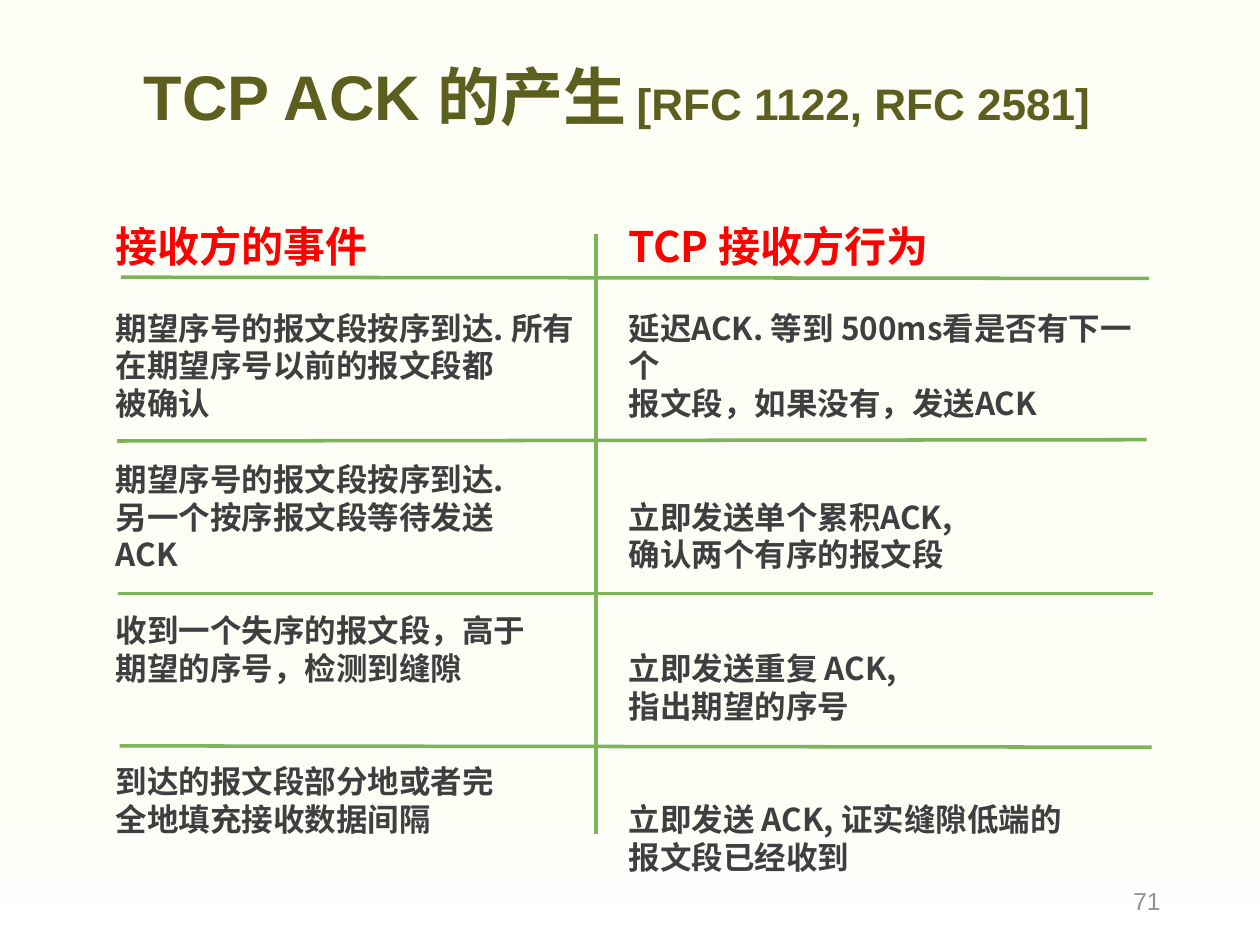
from dataclasses import dataclass

from lxml.etree import SubElement
from pptx import Presentation
from pptx.dml.color import RGBColor
from pptx.enum.shapes import MSO_CONNECTOR
from pptx.enum.text import MSO_ANCHOR, MSO_AUTO_SIZE, PP_ALIGN
from pptx.oxml.ns import qn
from pptx.slide import Slide
from pptx.text.text import _Run
from pptx.util import Inches, Pt

LATIN_FONT = "Arial"
CHINESE_FONT = "Noto Sans CJK SC"
OLIVE, RED, DARK, GRAY, GREEN = "5D5F1F", "FF0000", "3D3F41", "919293", "7DB359"
HEADING_SIZE, BODY_SIZE = 24, 18
LINE_FACTOR = 1.2


@dataclass
class Block:
    """Lines of one table row, set below a gap counted in body lines."""
    gap: int
    lines: list[str]


@dataclass
class Column:
    left: float
    width: float
    heading: str
    blocks: list[Block]


@dataclass
class Rule:
    x1: float
    y1: float
    x2: float
    y2: float


COLUMNS = [
    Column(0.82, 3.97, "接收方的事件", [
        Block(1, ["期望序号的报文段按序到达. 所有", "在期望序号以前的报文段都", "被确认"]),
        Block(1, ["期望序号的报文段按序到达.", "另一个按序报文段等待发送", "ACK"]),
        Block(1, ["收到一个失序的报文段，高于", "期望的序号，检测到缝隙"]),
        Block(2, ["到达的报文段部分地或者完", "全地填充接收数据间隔"]),
    ]),
    Column(4.89, 4.36, "TCP 接收方行为", [
        Block(1, ["延迟ACK. 等到 500ms看是否有下一个", "报文段，如果没有，发送ACK"]),
        Block(2, ["立即发送单个累积ACK,", "确认两个有序的报文段"]),
        Block(2, ["立即发送重复 ACK,", "指出期望的序号"]),
        Block(2, ["立即发送 ACK, 证实缝隙低端的", "报文段已经收到"]),
    ]),
]

RULES = [
    Rule(0.96, 2.2, 9.12, 2.21),
    Rule(0.93, 3.5, 9.1, 3.49),
    Rule(0.94, 4.71, 9.15, 4.71),
    Rule(0.95, 5.92, 9.14, 5.93),
    Rule(4.73, 1.86, 4.73, 6.62),
]


def color(value: str) -> RGBColor:
    return RGBColor.from_string(value)


def format_run(run: _Run, size: float, fill: str, font: str, bold: bool = True) -> None:
    run.font.size = Pt(size)
    run.font.bold = bold
    run.font.name = font
    run.font.color.rgb = color(fill)
    SubElement(run.font._element, qn("a:ea")).set("typeface", CHINESE_FONT)


def paint_background(slide: Slide) -> None:
    fill = slide.background.fill
    fill.gradient()
    fill.gradient_angle = 270
    for stop, (position, value) in zip(fill.gradient_stops, [(0.84, "FDFFF7"), (1, "FFFFFF")]):
        stop.position = position
        stop.color.rgb = color(value)


def add_title(slide: Slide) -> None:
    title = slide.shapes.title
    title.left, title.top = Inches(1.04), Inches(0.31)
    title.width, title.height = Inches(8.07), Inches(0.97)
    text_frame = title.text_frame
    text_frame.text = "TCP ACK 的产生"
    text_frame.auto_size = MSO_AUTO_SIZE.NONE
    text_frame.vertical_anchor = MSO_ANCHOR.MIDDLE
    paragraph = text_frame.paragraphs[0]
    paragraph.alignment = PP_ALIGN.LEFT
    paragraph.line_spacing = 0.9
    paragraph.add_run().text = " [RFC 1122, RFC 2581]"
    for run, size in zip(paragraph.runs, (36, 25.2)):
        format_run(run, size, OLIVE, LATIN_FONT)


def add_column(slide: Slide, column: Column) -> None:
    box = slide.shapes.add_textbox(
        Inches(column.left), Inches(1.7), Inches(column.width), Inches(5.6))
    text_frame = box.text_frame
    text_frame.word_wrap = True
    text_frame.text = column.heading
    heading = text_frame.paragraphs[0]
    heading.line_spacing = Pt(HEADING_SIZE * LINE_FACTOR)
    format_run(heading.runs[0], HEADING_SIZE, RED, CHINESE_FONT)

    line_height = BODY_SIZE * LINE_FACTOR
    for block in column.blocks:
        for index, line in enumerate(block.lines):
            paragraph = text_frame.add_paragraph()
            paragraph.text = line
            paragraph.line_spacing = Pt(line_height)
            if index == 0:
                paragraph.space_before = Pt(block.gap * line_height)
            format_run(paragraph.runs[0], BODY_SIZE, DARK, CHINESE_FONT)


def add_rule(slide: Slide, rule: Rule) -> None:
    connector = slide.shapes.add_connector(
        MSO_CONNECTOR.STRAIGHT,
        Inches(rule.x1), Inches(rule.y1), Inches(rule.x2), Inches(rule.y2))
    connector.line.color.rgb = color(GREEN)
    connector.line.width = Pt(2)
    SubElement(connector._element.spPr, qn("a:effectLst"))


def add_page_number(slide: Slide, number: str) -> None:
    box = slide.shapes.add_textbox(Inches(7.06), Inches(6.95), Inches(2.25), Inches(0.4))
    text_frame = box.text_frame
    text_frame.word_wrap = True
    text_frame.vertical_anchor = MSO_ANCHOR.MIDDLE
    text_frame.text = number
    paragraph = text_frame.paragraphs[0]
    paragraph.alignment = PP_ALIGN.RIGHT
    format_run(paragraph.runs[0], 14, GRAY, LATIN_FONT, bold=False)


def main() -> None:
    presentation = Presentation()
    presentation.slide_width, presentation.slide_height = Inches(10), Inches(7.5)
    slide = presentation.slides.add_slide(presentation.slide_layouts[5])
    paint_background(slide)
    add_page_number(slide, "71")
    add_title(slide)
    for column in COLUMNS:
        add_column(slide, column)
    for rule in RULES:
        add_rule(slide, rule)
    presentation.save("out.pptx")


if __name__ == "__main__":
    main()
